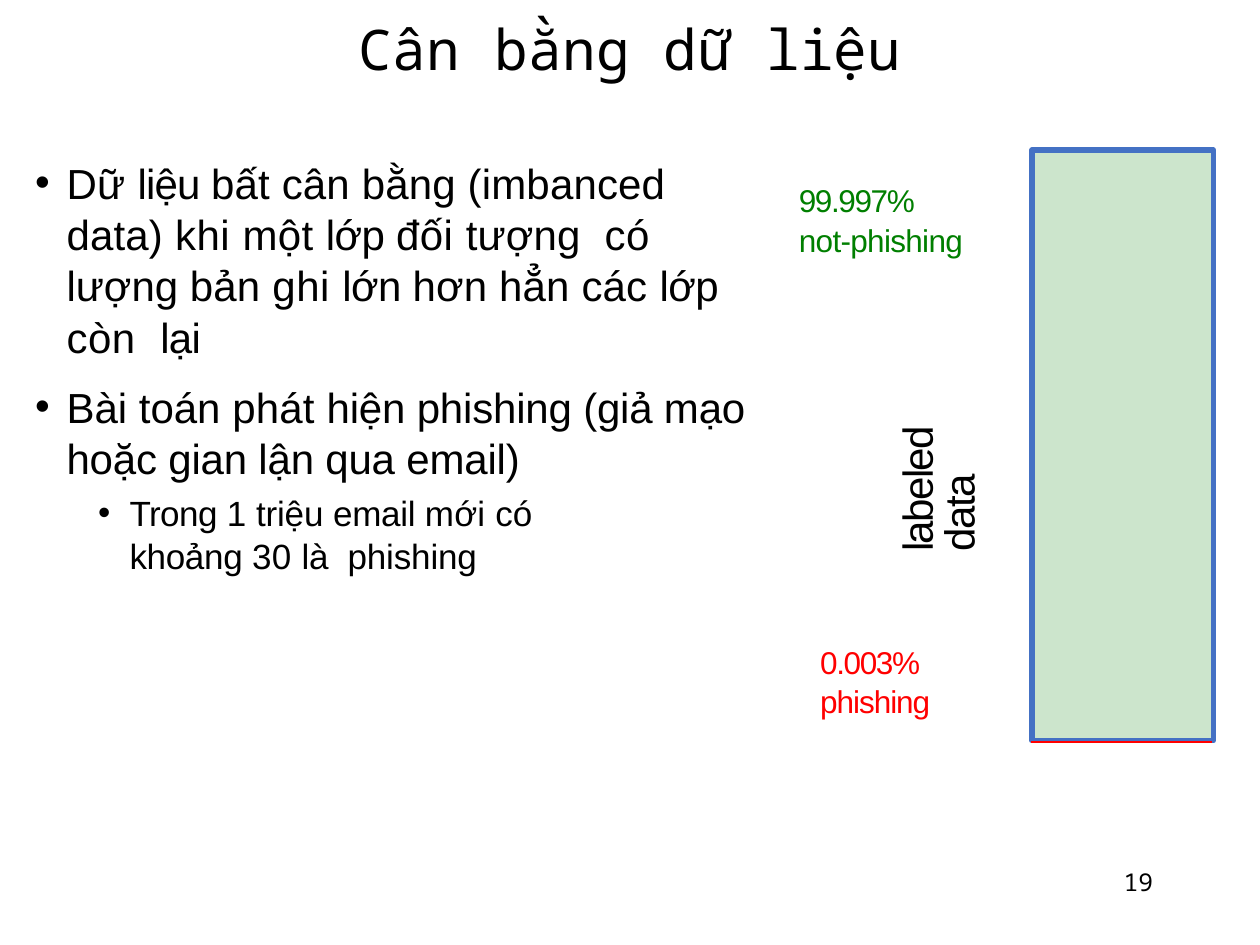
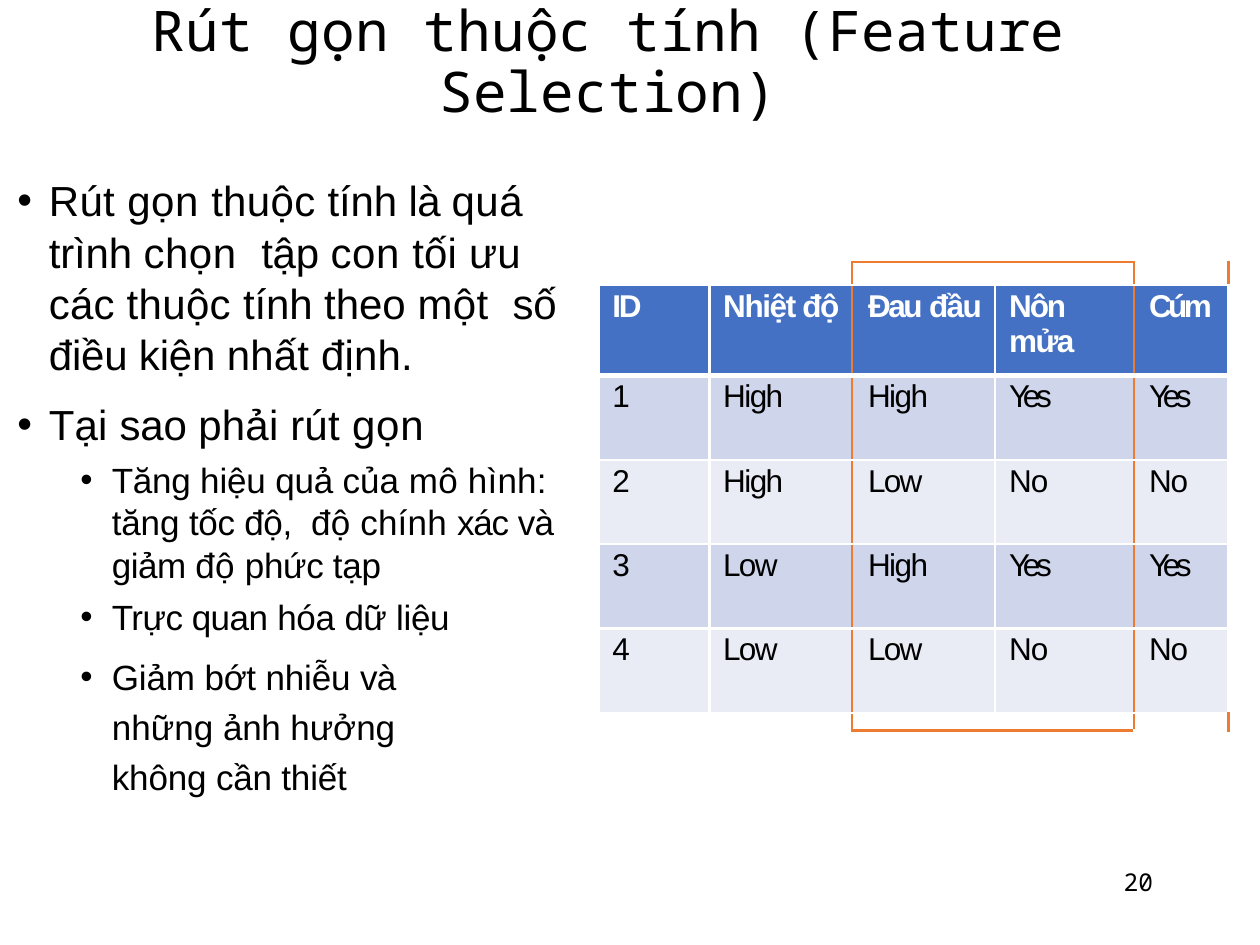
from typing import NamedTuple

from lxml import etree
from pptx import Presentation, util as u
from pptx.dml.color import RGBColor
from pptx.enum import shapes, text
from pptx.oxml.ns import qn

PX = 9144  # EMU in one px, 100 px to the inch
SANS, MONO = "Arial", "Noto Sans Mono"
BLACK, WHITE, BLUE, GREEN, RED = "000000", "FFFFFF", "4471C4", "007F00", "FF0000"
ORANGE, DARK, LIGHT = "ED7C30", "CFD5EA", "E9EBF5"
LEFT, MID, RIGHT = text.PP_ALIGN.LEFT, text.PP_ALIGN.CENTER, text.PP_ALIGN.RIGHT


class Box(NamedTuple):
    x: int
    y: int
    w: int
    h: int


class Run(NamedTuple):
    text: str
    gap: float = 0  # letter spacing in points


class Item(NamedTuple):
    """One bullet: its runs, level, space before, line spacing and right indent."""
    runs: list[Run]
    level: int = 0
    before: float = 0.5
    lead: float = 1.02
    right: int = 0


class Label(NamedTuple):
    box: Box
    color: str
    lines: list[Run]


def px(n: int) -> u.Emu:
    return u.Emu(n * PX)


def rgb(code: str) -> RGBColor:
    return RGBColor.from_string(code)


def runs(*parts: tuple[str, float]) -> list[Run]:
    return [Run(*part) for part in parts]


def write(para, parts: list[Run], *, size: float, font: str = SANS, color: str = BLACK,
          bold: bool = False, align=LEFT, before: float = 0, lead: float = 1.0) -> None:
    """Fill a paragraph; a lead above 5 is in points, otherwise in lines."""
    para.alignment = align
    para.space_before = u.Pt(before)
    para.line_spacing = u.Pt(lead) if lead > 5 else lead
    for part in parts:
        run = para.add_run()
        run.text = part.text
        run.font.size, run.font.name, run.font.bold = u.Pt(size), font, bold
        run.font.color.rgb = rgb(color)
        run._r.get_or_add_rPr().set("spc", str(round(part.gap * 100)))


def frame(slide, box: Box, *, inset: bool = True, anchor=text.MSO_ANCHOR.TOP):
    area = slide.shapes.add_textbox(*map(px, box)).text_frame
    area.word_wrap = True
    area.vertical_anchor = anchor
    if not inset:
        area.margin_left = area.margin_right = area.margin_top = area.margin_bottom = 0
    return area


def paras(area, count: int) -> list:
    return [area.paragraphs[0]] + [area.add_paragraph() for _ in range(count - 1)]


def base(deck, title: list[Run], box: Box, number: int):
    """Add a blank slide with its title and page number."""
    slide = deck.slides.add_slide(deck.slide_layouts[6])
    head = frame(slide, box, anchor=text.MSO_ANCHOR.MIDDLE)
    write(head.paragraphs[0], title, size=32, font=MONO, align=MID, lead=0.9)
    foot = frame(slide, Box(717, 683, 208, 50))
    write(foot.paragraphs[0], [Run(str(number))], size=14, font=MONO, align=RIGHT)
    return slide


def bullets(slide, box: Box, items: list[Item]) -> None:
    area = frame(slide, box)
    for para, item in zip(paras(area, len(items)), items):
        write(para, item.runs, size=24 - 4 * item.level, before=item.before, lead=item.lead)
        props = para._p.get_or_add_pPr()
        props.set("marL", str(px(26 + 50 * item.level)))
        props.set("indent", str(px(-25)))
        props.set("marR", str(px(item.right)))
        etree.SubElement(props, qn("a:buFont"), typeface=SANS)
        etree.SubElement(props, qn("a:buChar"), char="•")


def balance(deck) -> None:
    slide = base(deck, runs(("Cân bằng dữ ", 0.2), ("liệu", 0.1)), Box(75, 8, 850, 67), 19)
    bullets(slide, Box(17, 119, 600, 367), [
        Item(runs(("Dữ ", 0.2), ("liệu ", -0.5), ("bất cân bằng (imbanced data) ", 0.1),
                  ("khi ", 0.3), ("một ", 0.2), ("lớp ", -0.3), ("đối ", 0.3),
                  ("tượng  ", 0.1), ("có ", 0.3), ("lượng ", 0), ("bản ", 0.1),
                  ("ghi ", 0.3), ("lớn ", -0.3), ("hơn hẳn các ", 0.1), ("lớp ", -0.3),
                  ("còn  ", 0.3), ("lại", -0.4)), right=20),
        Item(runs(("Bài toán ", 0), ("phát ", 0.1),
                  ("hiện phishing (giả mạo hoặc gian lận qua email)", -0.1)), before=10.6),
        Item(runs(("Trong ", -0.3), ("1 ", 0), ("triệu ", -0.1), ("email ", -0.2),
                  ("mới ", 0.1), ("có ", 0), ("khoảng ", -0.2), ("30 ", 0.1),
                  ("là  phishing", -0.1)), level=1, before=4.6, right=130),
    ])
    bar = slide.shapes.add_shape(shapes.MSO_SHAPE.RECTANGLE, *map(px, Box(819, 119, 144, 469)))
    bar.shadow.inherit = False
    bar.fill.solid()
    bar.fill.fore_color.rgb = rgb(GREEN)
    tint = bar._element.spPr.find(qn("a:solidFill"))[0]
    etree.SubElement(tint, qn("a:alpha"), val="20000")
    bar.line.color.rgb, bar.line.width = rgb(BLUE), u.Pt(3)

    sliver = slide.shapes.add_connector(shapes.MSO_CONNECTOR.STRAIGHT,
                                        *map(px, (818, 589, 962, 589)))
    sliver.line.color.rgb, sliver.line.width = rgb(RED), u.Pt(1)
    etree.SubElement(sliver._element.spPr, qn("a:effectLst"))

    for label in (
        Label(Box(634, 144, 155, 62), GREEN, runs(("99.997%", -0.8), ("not-phishing", -0.4))),
        Label(Box(651, 510, 120, 62), RED, runs(("0.003%", -0.8), ("phishing", -0.6))),
    ):
        area = frame(slide, label.box, inset=False)
        for para, line in zip(paras(area, 2), label.lines):
            write(para, [line], size=18, color=label.color, before=1)
    side = frame(slide, Box(714, 274, 36, 164), inset=False)
    side._txBody.bodyPr.set("vert", "vert270")
    write(side.paragraphs[0], runs(("labeled ", -0.9), ("data", -0.8)), size=24, lead=23.8)


HEAD = [runs(("ID", -1.3)), runs(("Nhiệt độ", -0.8)), runs(("Đau ", -1.4), ("đầu", -0.9)),
        runs(("Nôn", -1.2), ("mửa", -0.9)), runs(("Cúm", -2))]
ROWS = ["1 High High Yes Yes", "2 High Low No No", "3 Low High Yes Yes", "4 Low Low No No"]
GAPS = {"High": -0.9, "Low": -1, "Yes": -2.5, "No": -0.6}
WIDTHS, PADS = [88, 113, 114, 110, 75], [11, 11, 13, 11, 12]
HEIGHTS = [18, 72, 67, 67, 67, 67, 14]
LAST = len(HEIGHTS) - 1
SPANS = [(0, 1), (0, 1), (2, 3), (2, 3), (4, 4)]


def border(cell, side: str, color: str, width: float) -> None:
    line = etree.SubElement(cell._tc.get_or_add_tcPr(), qn(f"a:ln{side}"), w=str(u.Pt(width)))
    fill = etree.SubElement(line, qn("a:solidFill"))
    etree.SubElement(fill, qn("a:srgbClr"), val=color)


def edges(cell, row: int, col: int) -> None:
    """Frame columns 2 and 3 in orange, open into the stub rows above and below."""
    stub = row in (0, LAST)
    first, final = SPANS[col] if stub else (col, col)

    def wall(at: int) -> str:
        return ORANGE if at in (2, 4) or (stub and at == 5) else WHITE

    def rail(at: int) -> tuple[str, float]:
        outer = at in (0, LAST + 1) and first == 2
        return ORANGE if outer else WHITE, 3 if at == 2 else 1.5

    border(cell, "L", wall(first), 1.5)
    border(cell, "R", wall(final + 1), 1.5)
    border(cell, "T", *rail(row))
    border(cell, "B", *rail(row + 1))


def chart(slide) -> None:
    """Draw the table of symptoms."""
    box = Box(475, 208, sum(WIDTHS), sum(HEIGHTS))
    grid = slide.shapes.add_table(len(HEIGHTS), len(WIDTHS), *map(px, box)).table
    grid.first_row = grid.horz_banding = False
    for col, width in zip(grid.columns, WIDTHS):
        col.width = px(width)
    for row, height in zip(grid.rows, HEIGHTS):
        row.height = px(height)
    body = [[runs((word, GAPS.get(word, 0))) for word in row.split()] for row in ROWS]
    cells = [None, HEAD, *body, None]
    for row, words in enumerate(cells):
        for col, pad in enumerate(PADS):
            cell = grid.cell(row, col)
            cell.margin_left = cell.margin_right = cell.margin_top = cell.margin_bottom = 0
            edges(cell, row, col)
            if words is None:
                cell.fill.background()
                end = etree.SubElement(cell.text_frame.paragraphs[0]._p, qn("a:endParaRPr"))
                end.set("sz", "600")
                continue
            top = row == 1
            cell.fill.solid()
            cell.fill.fore_color.rgb = rgb(BLUE if top else LIGHT if row % 2 else DARK)
            cell.margin_left, cell.margin_top = px(pad), px(3)
            lines = [[part] for part in words[col]] if top and col == 3 else [words[col]]
            for n, para in enumerate(paras(cell.text_frame, len(lines))):
                write(para, lines[n], size=18, bold=top, color=WHITE if top else BLACK,
                      before=0.2 if n else 2.5)
    for row in (0, LAST):
        for first, final in ((0, 1), (2, 3)):
            grid.cell(row, first).merge(grid.cell(row, final))


def reduce(deck) -> None:
    title = runs(("Rút gọn ", 0.2), ("thuộc ", 0.1), ("tính ", -0.1), ("(Feature Selection)", 0.1))
    slide = base(deck, title, Box(58, 17, 850, 67), 20)
    bullets(slide, Box(3, 133, 458, 533), [
        Item(runs(("Rút ", 0.2), ("gọn ", 0.3), ("thuộc ", 0.2), ("tính ", -0.1), ("là ", -0.4),
                  ("quá ", 0.3), ("trình ", -0.1), ("chọn  ", 0.3), ("tập ", -0.1),
                  ("con ", 0.3), ("tối ", 0.1), ("ưu ", 0.2), ("các ", 0.1), ("thuộc ", 0.2),
                  ("tính ", -0.1), ("theo ", 0), ("một  ", 0.2), ("số điều kiện ", -0.1),
                  ("nhất định.", 0.1))),
        Item(runs(("Tại ", 0.1), ("sao ", -0.1), ("phải rút ", 0.1), ("gọn", 0.5)), before=10.6),
        Item(runs(("Tăng ", -0.2), ("hiệu ", -0.1), ("quả ", -0.2), ("của ", 0),
                  ("mô hình: ", 0.1), ("tăng ", -0.1), ("tốc độ,  ", -0.2),
                  ("độ chính ", 0.1), ("xác ", -0.7), ("và ", -0.4), ("giảm ", -0.3),
                  ("độ ", 0.1), ("phức tạp", -0.2)), level=1, before=4.6),
        Item(runs(("Trực quan ", -0.3), ("hóa ", -0.2), ("dữ ", -0.3), ("liệu", -0.2)),
             level=1, before=5),
        Item(runs(("Giảm ", -0.1), ("bớt ", -0.2), ("nhiễu ", -0.1), ("và ", -0.4),
                  ("những ", 0), ("ảnh ", -0.2), ("hưởng  ", 0), ("không ", -0.1),
                  ("cần ", -0.2), ("thiết", -0.1)), level=1, before=6.2, lead=28.5, right=100),
    ])
    chart(slide)


def main() -> None:
    deck = Presentation()
    deck.slide_width, deck.slide_height = px(1000), px(750)
    balance(deck)
    reduce(deck)
    deck.save("out.pptx")


if __name__ == "__main__":
    main()
